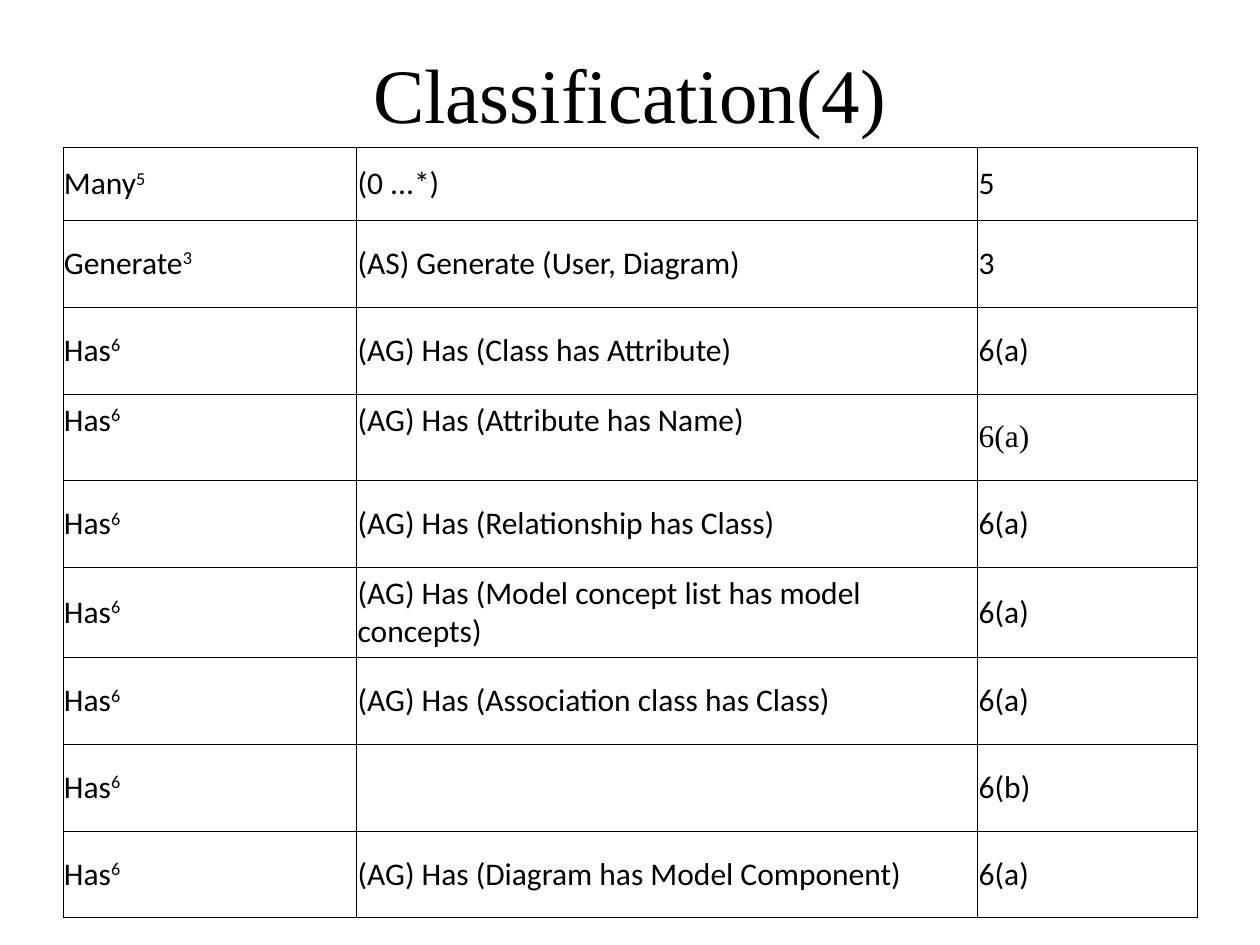
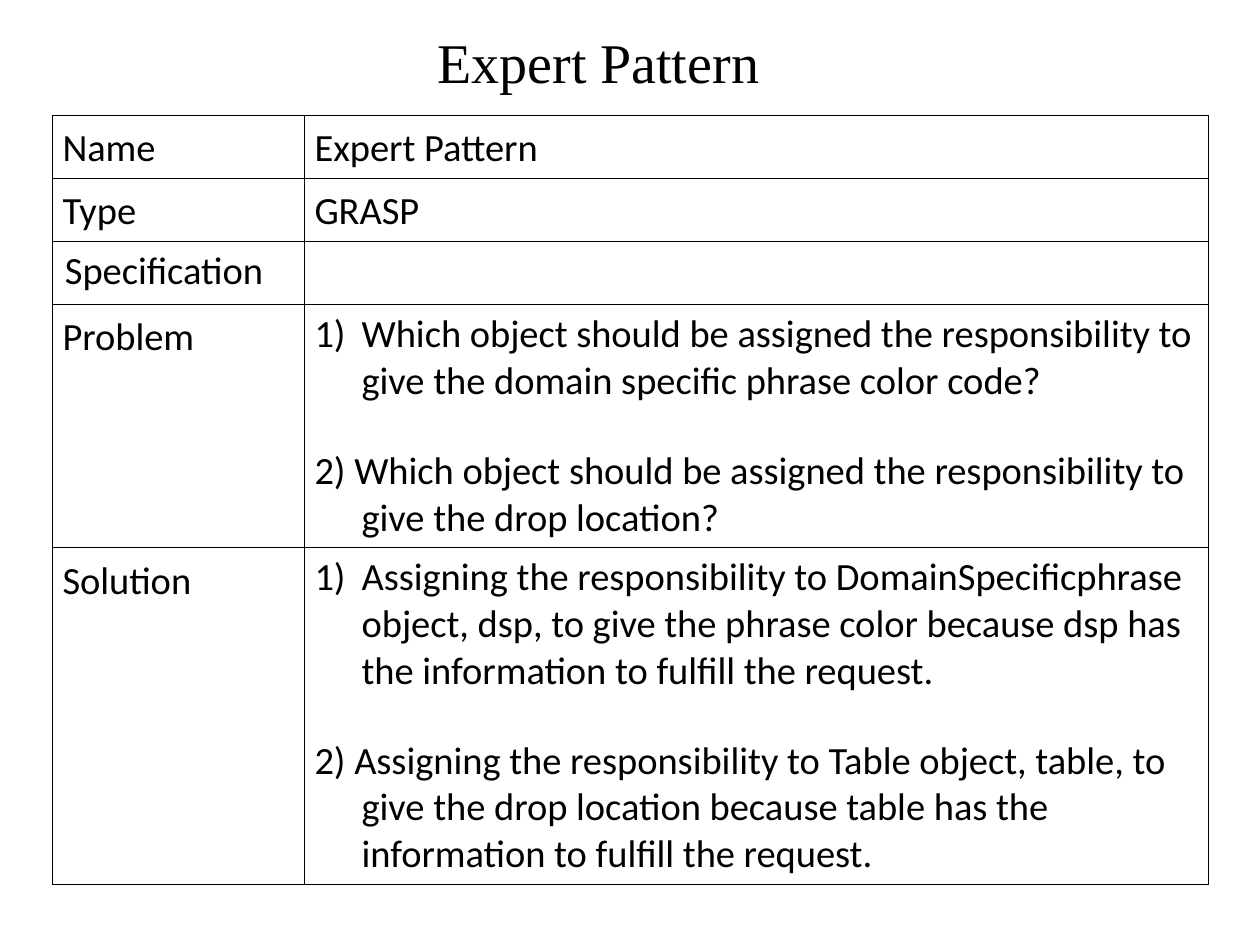
from lxml.etree import SubElement
from pptx import Presentation
from pptx.dml.color import RGBColor
from pptx.enum.text import MSO_ANCHOR as Anchor, MSO_AUTO_SIZE as AutoSize, PP_ALIGN as Align
from pptx.oxml.ns import qn
from pptx.util import Cm, Pt

COLORS = {"ink": "000000", "paper": "FFFFFF"}
TITLE_FONT, BODY_FONT = "Times New Roman", "Calibri"
BORDER = Pt(0.45)
TITLE_ONLY = 5

# (concept, superscript), relation, rule
CLASSIFICATION = [
    (("Many", "5"), "(0 ...*)", "5"),
    (("Generate", "3"), "(AS) Generate (User, Diagram)", "3"),
    (("Has", "6"), "(AG) Has (Class has Attribute)", "6(a)"),
    (("Has", "6"), "(AG) Has (Attribute has Name)", "6(a)"),
    (("Has", "6"), "(AG) Has (Relationship has Class)", "6(a)"),
    (("Has", "6"), "(AG) Has (Model concept list has model concepts)", "6(a)"),
    (("Has", "6"), "(AG) Has (Association class has Class)", "6(a)"),
    (("Has", "6"), "", "6(b)"),
    (("Has", "6"), "(AG) Has (Diagram has Model Component)", "6(a)"),
]
NAME_ROW = 3  # its words sit at the top and its rule is in the title font

# The first point of a list is numbered automatically, the second by hand
EXPERT_PATTERN = [
    ("Name", ["Expert Pattern"]),
    ("Type", ["GRASP"]),
    ("Specification", []),
    ("Problem", [
        "Which object should be assigned the responsibility to give the domain specific "
        "phrase color code?",
        "2) Which object should be assigned the responsibility to give the drop location?",
    ]),
    ("Solution", [
        "Assigning the responsibility to DomainSpecificphrase object, dsp, to give the "
        "phrase color because dsp has the information to fulfill the request.",
        "2) Assigning the responsibility to Table object, table, to give the drop location "
        "because table has the information to fulfill the request.",
    ]),
]


def add_run(paragraph, text, size, font=BODY_FONT, raised=False):
    run = paragraph.add_run()
    run.text = text
    run.font.name = font
    run.font.size = Pt(size)
    run.font.color.rgb = RGBColor.from_string(COLORS["ink"])
    if raised:
        run._r.get_or_add_rPr().set("baseline", "30000")


def add_titled_slide(prs, text, size, width, height):
    slide = prs.slides.add_slide(prs.slide_layouts[TITLE_ONLY])
    title = slide.shapes.title
    title.left, title.top, title.width, title.height = Cm(1.27), Cm(0.76), width, height
    frame = title.text_frame
    frame.auto_size = AutoSize.NONE
    frame.vertical_anchor = Anchor.MIDDLE
    frame.paragraphs[0].alignment = Align.CENTER
    add_run(frame.paragraphs[0], text, size, TITLE_FONT)
    return slide


def style_cell(cell, side_margin):
    """Give a cell thin borders, a plain fill and its margins."""
    properties = cell._tc.get_or_add_tcPr()
    for side in ("lnL", "lnR", "lnT", "lnB"):
        line = SubElement(properties, qn(f"a:{side}"), w=str(BORDER))
        fill = SubElement(line, qn("a:solidFill"))
        SubElement(fill, qn("a:srgbClr"), val=COLORS["ink"])
    cell.fill.solid()
    cell.fill.fore_color.rgb = RGBColor.from_string(COLORS["paper"])
    cell.margin_left = cell.margin_right = side_margin
    cell.margin_top = cell.margin_bottom = Cm(0.13)


def add_grid(slide, left, top, widths, heights, side_margin):
    table = slide.shapes.add_table(len(heights), len(widths), left, top,
                                   sum(widths), sum(heights)).table
    table.first_row = table.horz_banding = False
    for column, width in zip(table.columns, widths):
        column.width = width
    for row, height in zip(table.rows, heights):
        row.height = height
    for cell in table.iter_cells():
        style_cell(cell, side_margin)
    return table


def number_point(paragraph, automatic):
    """Hang the paragraph's indent, with an automatic "1)" if asked for."""
    properties = paragraph._p.get_or_add_pPr()
    properties.set("marL", str(Cm(0.95)))
    properties.set("indent", str(-Cm(0.95)))
    if automatic:
        color = SubElement(properties, qn("a:buClr"))
        SubElement(color, qn("a:srgbClr"), val=COLORS["ink"])
        SubElement(properties, qn("a:buFont"), typeface=BODY_FONT)
        SubElement(properties, qn("a:buAutoNum"), type="arabicParenR")


def build_classification(prs):
    slide = add_titled_slide(prs, "Classification(4)", 44, Cm(22.86), Cm(2.21))
    heights = [Cm(1.47)] + [Cm(1.75)] * (len(CLASSIFICATION) - 1)
    table = add_grid(slide, Cm(1.27), Cm(2.97), [Cm(5.92), Cm(12.52), Cm(4.42)],
                     heights, Cm(0.02))
    for r, ((concept, mark), relation, rule) in enumerate(CLASSIFICATION):
        cells = [table.cell(r, c) for c in range(3)]
        for cell in cells:
            cell.vertical_anchor = Anchor.MIDDLE
        paragraphs = [cell.text_frame.paragraphs[0] for cell in cells]
        add_run(paragraphs[0], concept, 18)
        add_run(paragraphs[0], mark, 18, raised=True)
        if relation:
            add_run(paragraphs[1], relation, 18)
        add_run(paragraphs[2], rule, 18, TITLE_FONT if r == NAME_ROW else BODY_FONT)
    for c in range(2):
        name_cell = table.cell(NAME_ROW, c)
        name_cell.vertical_anchor = Anchor.TOP
        name_cell.margin_top = Cm(0.15)


def build_expert_pattern(prs):
    slide = add_titled_slide(prs, "Expert Pattern", 32, Cm(21.59), Cm(0.94))
    heights = [Cm(1.27)] * 3 + [Cm(4.65), Cm(6.53)]
    table = add_grid(slide, Cm(1.06), Cm(2.33), [Cm(5.08), Cm(18.21)], heights, Cm(0.2))
    for r, (heading, points) in enumerate(EXPERT_PATTERN):
        label = table.cell(r, 0).text_frame.paragraphs[0]
        add_run(label, heading, 22)
        if points:
            label.line_spacing = 1.07
        else:
            table.cell(r, 0).margin_left = Cm(0.25)
        frame = table.cell(r, 1).text_frame
        for i, point in enumerate(points):
            paragraph = frame.add_paragraph() if i else frame.paragraphs[0]
            if len(points) > 1:
                number_point(paragraph, automatic=i == 0)
            else:
                paragraph.line_spacing = 1.07
            if i:
                paragraph.space_before = Pt(24.5)
            add_run(paragraph, point, 22)


def main():
    prs = Presentation()
    prs.slide_width, prs.slide_height = Cm(25.4), Cm(19.05)
    build_classification(prs)
    build_expert_pattern(prs)
    prs.save("out.pptx")


if __name__ == "__main__":
    main()
